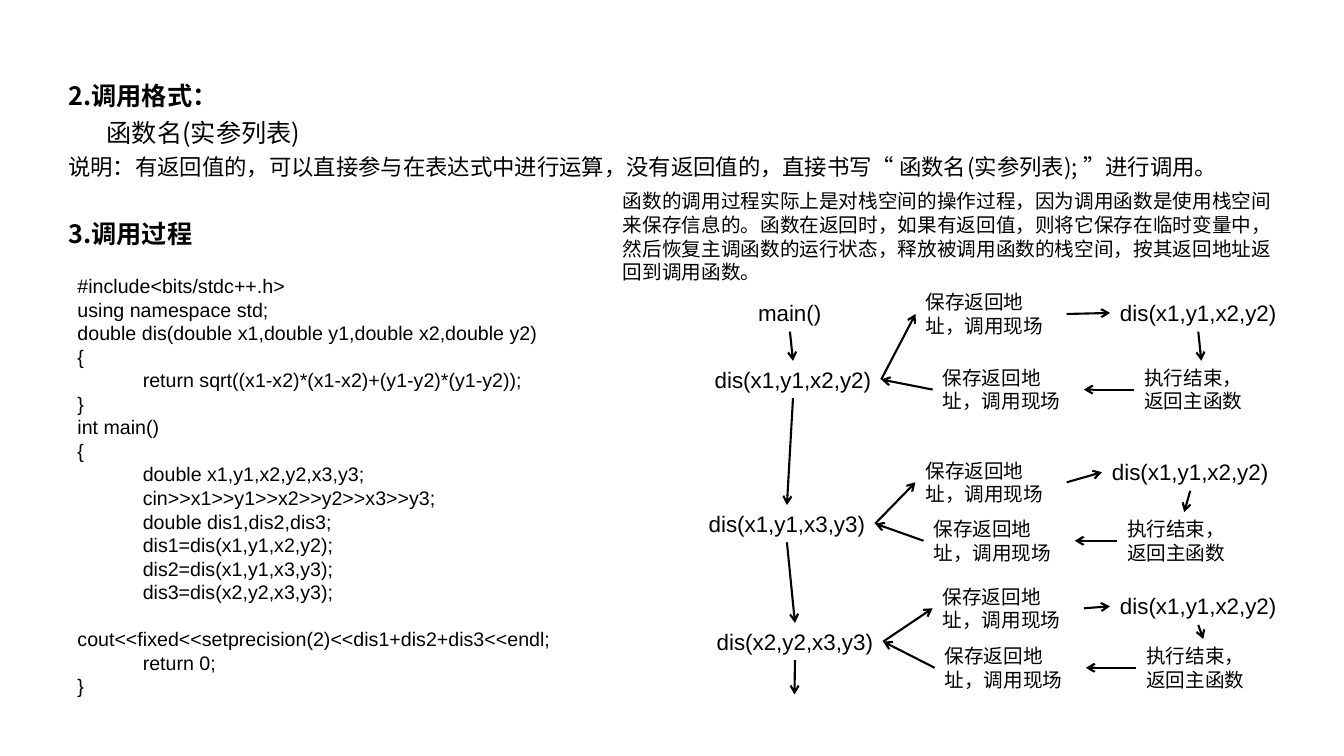
from lxml import etree
from pptx import Presentation
from pptx.dml.color import RGBColor
from pptx.enum.shapes import MSO_CONNECTOR
from pptx.enum.text import MSO_AUTO_SIZE
from pptx.oxml.ns import qn
from pptx.util import Inches, Pt

STRAIGHT = MSO_CONNECTOR.STRAIGHT
GROW, FIXED = MSO_AUTO_SIZE.SHAPE_TO_FIT_TEXT, MSO_AUTO_SIZE.NONE
TOP, LEFT, BOTTOM, RIGHT = range(4)
LATIN, CHINESE = "Arial", "Noto Sans CJK SC"
BLACK = "000000"
LINE_HEIGHT = 1.2

# text, size, bold, left indent, space before
OUTLINE = [
    ("2.调用格式：", 18, True, 0, 0),
    ("函数名(实参列表)", 18, False, 0.38, 4.5),
    ("说明：有返回值的，可以直接参与在表达式中进行运算，没有返回值的，"
     "直接书写“ 函数名(实参列表); ”进行调用。", 16, False, 0, 4),
    ("3.调用过程", 18, True, 0, 27.7),
]
CODE = """#include<bits/stdc++.h>
using namespace std;
double dis(double x1,double y1,double x2,double y2)
{
            return sqrt((x1-x2)*(x1-x2)+(y1-y2)*(y1-y2));
}
int main()
{
            double x1,y1,x2,y2,x3,y3;
            cin>>x1>>y1>>x2>>y2>>x3>>y3;
            double dis1,dis2,dis3;
            dis1=dis(x1,y1,x2,y2);
            dis2=dis(x1,y1,x3,y3);
            dis3=dis(x2,y2,x3,y3);
            cout<<fixed<<setprecision(2)<<dis1+dis2+dis3<<endl;
            return 0;
}""".split("\n")
EXPLANATION = (
    "函数的调用过程实际上是对栈空间的操作过程，因为调用函数是使用栈空间来保存信息的。"
    "函数在返回时，如果有返回值，则将它保存在临时变量中，然后恢复主调函数的运行状态，"
    "释放被调用函数的栈空间，按其返回地址返回到调用函数。")
SAVE = "保存返回地址，调用现场"
FINISH = "执行结束，返回主函数"
CALLEE = "dis(x1,y1,x2,y2)"

# caller text, then left and top of caller, save, callee, finish, restore
ROUNDS = [
    ("dis(x1,y1,x2,y2)", (6.99, 3.58), (9.08, 2.83), (11.01, 2.92), (11.25, 3.58), (9.25, 3.58)),
    ("dis(x1,y1,x3,y3)", (6.93, 5.01), (9.08, 4.5), (10.93, 4.5), (11.08, 5.08), (9.16, 5.08)),
    ("dis(x2,y2,x3,y3)", (7.01, 6.18), (9.25, 5.75), (11.01, 5.83), (11.27, 6.34), (9.27, 6.34)),
]
FLOW_END = (7.88, 6.89)


def color(hex_value):
    return RGBColor.from_string(hex_value)


def add_text(slide, box, lines, font=LATIN, auto_size=GROW, wrap=True):
    """Add a text box; each line is (text, size, bold, indent, space before)."""
    shape = slide.shapes.add_textbox(*map(Inches, box))
    frame = shape.text_frame
    frame.word_wrap, frame.auto_size = wrap, auto_size
    for index, (text, size, bold, indent, before) in enumerate(lines):
        paragraph = frame.paragraphs[0] if index == 0 else frame.add_paragraph()
        paragraph.line_spacing = Pt(size * LINE_HEIGHT)
        paragraph.space_before = Pt(before)
        properties = paragraph._p.get_or_add_pPr()
        properties.set("marL", str(Inches(indent)))
        properties.set("hangingPunct", "0")
        run = paragraph.add_run()
        run.text = text
        for name, value in {"size": Pt(size), "bold": bold, "name": font}.items():
            setattr(run.font, name, value)
        run.font.color.rgb = color(BLACK)
        east_asian = etree.SubElement(run._r.get_or_add_rPr(), qn("a:ea"))
        east_asian.set("typeface", CHINESE)
    return shape


def plain(text, size=14):
    return (text, size, False, 0, 0)


def add_call(slide, text, place, width=1.75):
    return add_text(slide, (*place, width, 0.37), [plain(text, 16)], wrap=False)


def add_note(slide, text, place, width=1.5):
    return add_text(slide, (*place, width, 0.57), [plain(text)])


def add_arrow(slide, start, start_side, end, end_side=None):
    """Join two boxes; the end may also be a point in inches."""
    is_point = isinstance(end, tuple)
    target = [Inches(value) for value in end] if is_point else (0, 0)
    connector = slide.shapes.add_connector(STRAIGHT, 0, 0, *target)
    connector.begin_connect(start, start_side)
    if not is_point:
        connector.end_connect(end, end_side)
    connector.line.color.rgb = color(BLACK)
    connector.line.width = Pt(1.5)
    etree.SubElement(connector.line._get_or_add_ln(), qn("a:tailEnd")).set("type", "arrow")
    etree.SubElement(connector._element.spPr, qn("a:effectLst"))


def add_round(slide, previous, text, caller_at, save_at, callee_at, finish_at, restore_at):
    """Draw one call and its return, and give back the caller box."""
    caller = add_call(slide, text, caller_at)
    save = add_note(slide, SAVE, save_at)
    callee = add_call(slide, CALLEE, callee_at)
    finish = add_note(slide, FINISH, finish_at, 1.33)
    restore = add_note(slide, SAVE, restore_at)
    for link in [
        (previous, BOTTOM, caller, TOP),
        (caller, RIGHT, save, LEFT),
        (save, RIGHT, callee, LEFT),
        (callee, BOTTOM, finish, TOP),
        (finish, LEFT, restore, RIGHT),
        (restore, LEFT, caller, RIGHT),
    ]:
        add_arrow(slide, *link)
    return caller


def main():
    presentation = Presentation()
    presentation.slide_width, presentation.slide_height = Inches(13.33), Inches(7.5)
    slide = presentation.slides.add_slide(presentation.slide_layouts[6])

    add_text(slide, (0.58, 0.75, 12, 3.25), OUTLINE, CHINESE, FIXED)
    add_text(slide, (0.67, 2.67, 5.5, 4.07), [plain(line) for line in CODE])
    caller = add_call(slide, "main()", (7.42, 2.92), 0.83)
    for call_round in ROUNDS:
        caller = add_round(slide, caller, *call_round)
    add_arrow(slide, caller, BOTTOM, FLOW_END)
    add_text(slide, (6.08, 1.83, 6.66, 1.04), [plain(EXPLANATION)], CHINESE)

    presentation.save("out.pptx")


if __name__ == "__main__":
    main()
